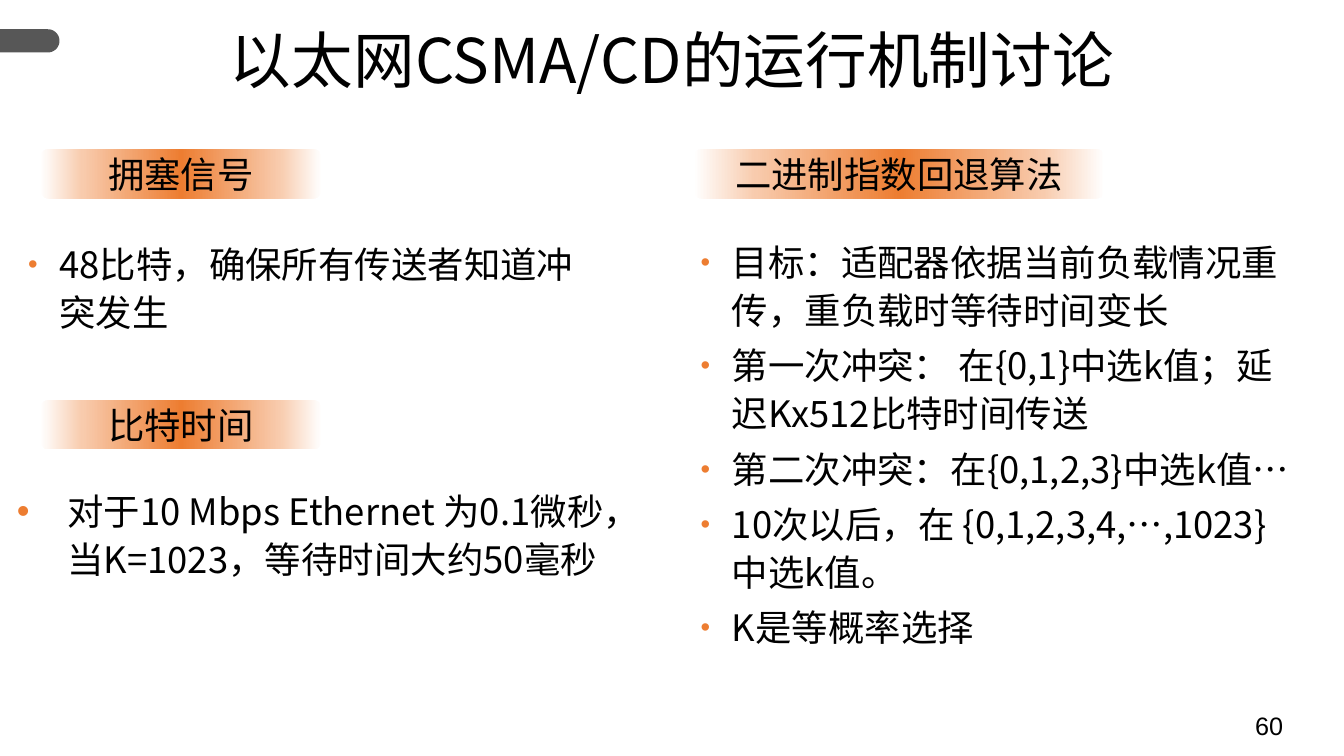
from dataclasses import dataclass
from math import cos, pi, sin

from lxml import etree
from pptx import Presentation
from pptx.dml.color import RGBColor
from pptx.enum.shapes import MSO_SHAPE
from pptx.enum.text import MSO_ANCHOR, PP_ALIGN
from pptx.oxml.ns import qn
from pptx.util import Inches, Pt

ROUNDED = MSO_SHAPE.ROUNDED_RECTANGLE
CENTER, LEFT = PP_ALIGN.CENTER, PP_ALIGN.LEFT
MIDDLE, TOP = MSO_ANCHOR.MIDDLE, MSO_ANCHOR.TOP

WIDTH, HEIGHT = Inches(13.33), Inches(7.5)
CJK_FONT, LATIN_FONT = "Noto Sans CJK SC", "Arial"
BLACK, GRAY, ORANGE = "000000", "575757", "ED7D31"
GLOW = [(0, "FFFFFF"), (15, "F8CBAD"), (50, ORANGE), (85, "F8CBAD"), (100, "FFFFFF")]
BODY_SIZE = 26


@dataclass
class Area:
    """Position and size in percent of the slide."""
    left: float
    top: float
    width: float
    height: float

    def lengths(self) -> tuple[int, int, int, int]:
        return (across(self.left), down(self.top), across(self.width), down(self.height))


@dataclass
class Heading:
    text: str
    area: Area


@dataclass
class BulletList:
    items: list[str]
    area: Area
    margin: float = 0.81
    hanging: float = 0.31
    bullet_percent: int = 75


def across(percent: float) -> int:
    return round(WIDTH * percent / 100)


def down(percent: float) -> int:
    return round(HEIGHT * percent / 100)


def color(value: str) -> RGBColor:
    return RGBColor.from_string(value)


def set_font(font, size: float, name: str) -> None:
    font.size = Pt(size)
    font.name = name
    font.color.rgb = color(BLACK)
    # East Asian characters take the same typeface
    latin = font._element.find(qn("a:latin"))
    east_asian = etree.Element(qn("a:ea"), typeface=name)
    latin.addnext(east_asian)


def add_box(page, area: Area, anchor=TOP):
    frame = page.shapes.add_textbox(*area.lengths()).text_frame
    frame.word_wrap = True
    frame.vertical_anchor = anchor
    return frame


def add_pill(page, area: Area) -> None:
    left, top, width, height = area.lengths()
    radius = height / 2
    center_x, center_y = left + width - radius, top + radius
    steps = 24
    arc = [(round(center_x + radius * cos(angle)), round(center_y + radius * sin(angle)))
           for angle in (pi * (step / steps - 0.5) for step in range(steps + 1))]
    builder = page.shapes.build_freeform(left, top)
    builder.add_line_segments([*arc, (left, top + height)], close=True)
    pill = builder.convert_to_shape()
    pill.shadow.inherit = False
    pill.fill.solid()
    pill.fill.fore_color.rgb = color(GRAY)
    pill.line.fill.background()


def add_heading(page, heading: Heading) -> None:
    shape = page.shapes.add_shape(ROUNDED, *heading.area.lengths())
    shape.shadow.inherit = False
    shape.line.fill.background()
    shape.fill.gradient()
    shape.fill.gradient_angle = 0
    stops = shape._element.spPr.find(qn("a:gradFill")).find(qn("a:gsLst"))
    for stop in list(stops):
        stops.remove(stop)
    for percent, value in GLOW:
        stop = etree.SubElement(stops, qn("a:gs"), pos=str(percent * 1000))
        etree.SubElement(stop, qn("a:srgbClr"), val=value)
    frame = shape.text_frame
    frame.vertical_anchor = MIDDLE
    para = frame.paragraphs[0]
    para.text = heading.text
    para.alignment = CENTER
    set_font(para.font, BODY_SIZE, CJK_FONT)


def add_bullet(para, bullets: BulletList) -> None:
    properties = para._p.get_or_add_pPr()
    properties.set("marL", str(Inches(bullets.margin)))
    properties.set("indent", str(-Inches(bullets.hanging)))
    bullet_color = etree.SubElement(properties, qn("a:buClr"))
    etree.SubElement(bullet_color, qn("a:srgbClr"), val=ORANGE)
    etree.SubElement(properties, qn("a:buSzPct"), val=str(bullets.bullet_percent * 1000))
    etree.SubElement(properties, qn("a:buFont"), typeface=LATIN_FONT)
    etree.SubElement(properties, qn("a:buChar"), char="•")


def add_bullets(page, bullets: BulletList) -> None:
    frame = add_box(page, bullets.area)
    for index, item in enumerate(bullets.items):
        para = frame.add_paragraph() if index else frame.paragraphs[0]
        para.text = item
        para.alignment = LEFT
        para.line_spacing = 1.1
        para.space_before = Pt(5.2 if index else 0)
        add_bullet(para, bullets)
        set_font(para.font, BODY_SIZE, CJK_FONT)


HEADINGS = [
    Heading("二进制指数回退算法", Area(51.6, 19.73, 30.6, 6.53)),
    Heading("拥塞信号", Area(3, 19.73, 20.93, 6.53)),
    Heading("比特时间", Area(3, 52.93, 20.93, 6.53)),
]

BULLET_LISTS = [
    BulletList([
        "目标：适配器依据当前负载情况重传，重负载时等待时间变长",
        "第一次冲突： 在{0,1}中选k值；延迟Kx512比特时间传送",
        "第二次冲突：在{0,1,2,3}中选k值…",
        "10次以后，在 {0,1,2,3,4,…,1023}中选k值。",
        "K是等概率选择",
    ], Area(47.64, 30.53, 49.74, 55.2)),
    BulletList(["48比特，确保所有传送者知道冲突发生"], Area(-2.4, 30.8, 46.06, 19.33)),
    BulletList(["对于10 Mbps Ethernet 为0.1微秒，\v当K=1023，等待时间大约50毫秒"],
               Area(-3.23, 63.47, 51.61, 14.13), margin=1, hanging=0.5, bullet_percent=100),
]


def main() -> None:
    deck = Presentation()
    deck.slide_width, deck.slide_height = WIDTH, HEIGHT
    page = deck.slides.add_slide(deck.slide_layouts[6])

    add_pill(page, Area(0, 3.87, 4.43, 3.07))

    # Title in two fonts
    title = add_box(page, Area(0, 3.33, 100, 16.67)).paragraphs[0]
    title.alignment = CENTER
    title.line_spacing = 0.9
    for text, name in [("以太网CSMA/CD的运行机制", CJK_FONT), ("讨论", LATIN_FONT)]:
        span = title.add_run()
        span.text = text
        set_font(span.font, 44, name)

    # Page number
    number = add_box(page, Area(92.65, 93.33, 7.35, 6.67)).paragraphs[0]
    number.text = "60"
    set_font(number.font, 18, LATIN_FONT)

    # Headings and their bullets
    for heading in HEADINGS:
        add_heading(page, heading)
    for bullets in BULLET_LISTS:
        add_bullets(page, bullets)

    deck.save("out.pptx")


if __name__ == "__main__":
    main()
